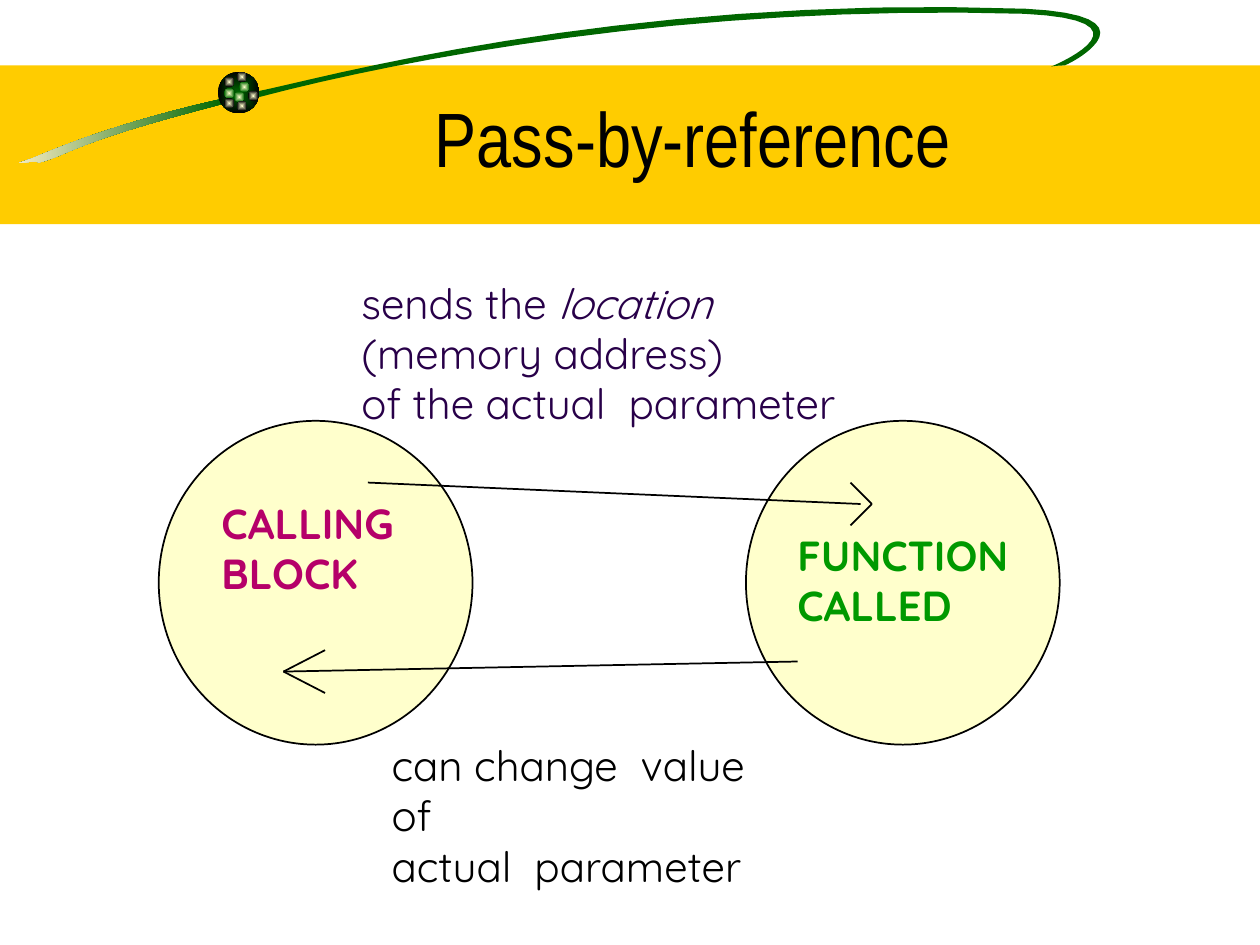
from dataclasses import dataclass

from lxml import etree
from pptx import Presentation
from pptx.dml.color import RGBColor
from pptx.enum.shapes import MSO_CONNECTOR, MSO_SHAPE
from pptx.enum.text import MSO_ANCHOR, PP_ALIGN
from pptx.oxml.ns import qn
from pptx.util import Inches, Pt

RECT, OVAL = MSO_SHAPE.RECTANGLE, MSO_SHAPE.OVAL
LINE = MSO_CONNECTOR.STRAIGHT
TOP, BOTTOM = MSO_ANCHOR.TOP, MSO_ANCHOR.BOTTOM
LEFT, CENTER = PP_ALIGN.LEFT, PP_ALIGN.CENTER


@dataclass(frozen=True)
class Theme:
    band: str = "FFCC00"
    green: str = "006600"
    sand: str = "F5EBC1"
    cream: str = "FFFFCC"
    ink: str = "000000"
    sends: str = "280049"
    caller: str = "B50069"
    called: str = "009900"
    head: str = "Arial Narrow"
    body: str = "Quicksand"
    big: int = 44
    size: int = 24
    line: int = 1


@dataclass(frozen=True)
class Box:
    x: float
    y: float
    w: float
    h: float

    def emu(self) -> tuple:
        return tuple(Inches(v) for v in (self.x, self.y, self.w, self.h))


@dataclass(frozen=True)
class Arrow:
    start: tuple
    end: tuple  # where the shaft stops
    tip: tuple
    back: float  # x of the two barb ends


THEME = Theme()
STEPS = 16  # straight pieces for each curve

# Each curve is a start point, then two controls and an end per segment
TAIL = [(1.78, 0.78), (0.91, 0.98), (0.49, 1.16), (0.25, 1.26),
        (0.01, 1.34), (0.26, 1.26), (0.31, 1.29),
        (0.57, 1.22), (0.57, 1.13), (1.79, 0.82)]
LOOP = [(2.02, 0.73), (2.46, 0.65), (4.86, -0.05), (8.14, 0.07),
        (9.17, 0.12), (8.57, 0.47), (8.45, 0.52),
        (8.45, 0.52), (8.38, 0.52), (8.34, 0.53),
        (8.44, 0.49), (9.16, 0.16), (8.13, 0.11),
        (5.48, 0.03), (3.2, 0.47), (2.06, 0.77)]

# Left, top and outer colour of the dots on the ball
DOTS = [(1.9, 0.65, THEME.green), (1.78, 0.61, THEME.ink),
        (1.78, 0.7, THEME.green), (1.86, 0.73, THEME.green),
        (1.97, 0.72, THEME.ink), (1.88, 0.8, THEME.ink),
        (1.78, 0.78, THEME.ink), (1.88, 0.57, THEME.ink)]
DOT = 0.08

ARROWS = [Arrow((2.92, 3.83), (6.83, 4), (6.92, 4), 6.75),
          Arrow((6.33, 5.25), (2.25, 5.33), (2.25, 5.33), 2.58)]
BARB = 0.17


def rgb(code: str) -> RGBColor:
    return RGBColor.from_string(code)


def paint(shape, fill: str, edge: str = "") -> None:
    shape.shadow.inherit = False
    shape.fill.solid()
    shape.fill.fore_color.rgb = rgb(fill)
    if edge:
        shape.line.color.rgb = rgb(edge)
        shape.line.width = Pt(THEME.line)
    else:
        shape.line.fill.background()


def blend(shape, first: str, last: str, radial: bool = True) -> None:
    shape.fill.gradient()
    shape.fill.gradient_angle = 180
    for stop, code in zip(shape.fill.gradient_stops, (first, last)):
        stop.color.rgb = rgb(code)
    if radial:
        grad = shape._element.spPr.find(qn("a:gradFill"))
        old = grad.find(qn("a:lin"))
        core = etree.Element(qn("a:path"), {"path": "rect"})
        sides = dict.fromkeys("ltrb", "50000")
        etree.SubElement(core, qn("a:fillToRect"), sides)
        grad.replace(old, core)


def add(slide, kind, box: Box, fill: str, edge: str = ""):
    shape = slide.shapes.add_shape(kind, *box.emu())
    paint(shape, fill, edge)
    return shape


def trace(curve: list) -> list:
    pts = []
    for i in range(0, len(curve) - 1, 3):
        for n in range(1, STEPS + 1):
            t = n / STEPS
            mix = ((1 - t) ** 3, 3 * t * (1 - t) ** 2,
                   3 * t * t * (1 - t), t ** 3)
            pts.append(tuple(
                Inches(sum(m * p[k] for m, p in zip(mix, curve[i:i + 4])))
                for k in (0, 1)))
    return pts


def sweep(slide, curve: list, fill: str):
    form = slide.shapes.build_freeform(*(Inches(v) for v in curve[0]))
    form.add_line_segments(trace(curve), close=True)
    shape = form.convert_to_shape()
    paint(shape, fill)
    return shape


def link(slide, start: tuple, end: tuple) -> None:
    line = slide.shapes.add_connector(
        LINE, *(Inches(v) for v in start + end))
    line.line.color.rgb = rgb(THEME.ink)
    line.line.width = Pt(THEME.line)
    etree.SubElement(line._element.spPr, qn("a:effectLst"))


def draw(slide, arrow: Arrow) -> None:
    link(slide, arrow.start, arrow.end)
    for side in (-BARB, BARB):
        link(slide, arrow.tip, (arrow.back, arrow.tip[1] + side))


def write(slide, box: Box, lines: list, *, color: str = THEME.ink,
          font: str = THEME.body, size: int = THEME.size,
          bold: bool = False, align=LEFT, anchor=TOP) -> None:
    """Add a text box; words between asterisks are italic."""
    frame = slide.shapes.add_textbox(*box.emu()).text_frame
    frame.word_wrap = True
    frame.vertical_anchor = anchor
    for i, words in enumerate(lines):
        para = frame.add_paragraph() if i else frame.paragraphs[0]
        para.alignment = align
        for n, part in enumerate(words.split("*")):
            if part:
                run = para.add_run()
                run.text = part
                run.font.name = font
                run.font.size = Pt(size)
                run.font.bold = bold
                run.font.italic = n % 2 == 1
                run.font.color.rgb = rgb(color)


def main() -> None:
    deck = Presentation()
    deck.slide_width, deck.slide_height = Inches(10), Inches(7.5)
    slide = deck.slides.add_slide(deck.slide_layouts[6])

    # Title band with sweep and ball
    add(slide, RECT, Box(0, 0.52, 10, 1.26), THEME.band)
    blend(sweep(slide, TAIL, THEME.green), THEME.green, THEME.sand, False)
    sweep(slide, LOOP, THEME.green)
    ball = add(slide, OVAL, Box(1.73, 0.57, 0.33, 0.33), THEME.ink)
    blend(ball, THEME.green, THEME.ink)
    for x, y, rim in DOTS:
        dot = add(slide, OVAL, Box(x, y, DOT, DOT), rim)
        blend(dot, THEME.cream, rim)
    write(slide, Box(1.25, 0.25, 8.5, 1.25), ["Pass-by-reference"],
          font=THEME.head, size=THEME.big, align=CENTER, anchor=BOTTOM)

    # What passes between the two sides
    write(slide, Box(2.77, 2.15, 3.99, 1.3),
          ["sends the *location*", "(memory address)",
           "of the actual  parameter"], color=THEME.sends)
    write(slide, Box(3.01, 5.82, 3.1, 1.3),
          ["can change  value of", "actual  parameter"])

    # Caller and called function
    for x in (1.26, 5.92):
        add(slide, OVAL, Box(x, 3.34, 2.49, 2.57), THEME.cream, THEME.ink)
    write(slide, Box(1.66, 3.9, 1.66, 0.9), ["CALLING", "BLOCK"],
          color=THEME.caller, bold=True)
    write(slide, Box(6.23, 4.15, 1.96, 0.9), ["FUNCTION", "CALLED"],
          color=THEME.called, bold=True)
    for arrow in ARROWS:
        draw(slide, arrow)

    deck.save("out.pptx")


if __name__ == "__main__":
    main()
